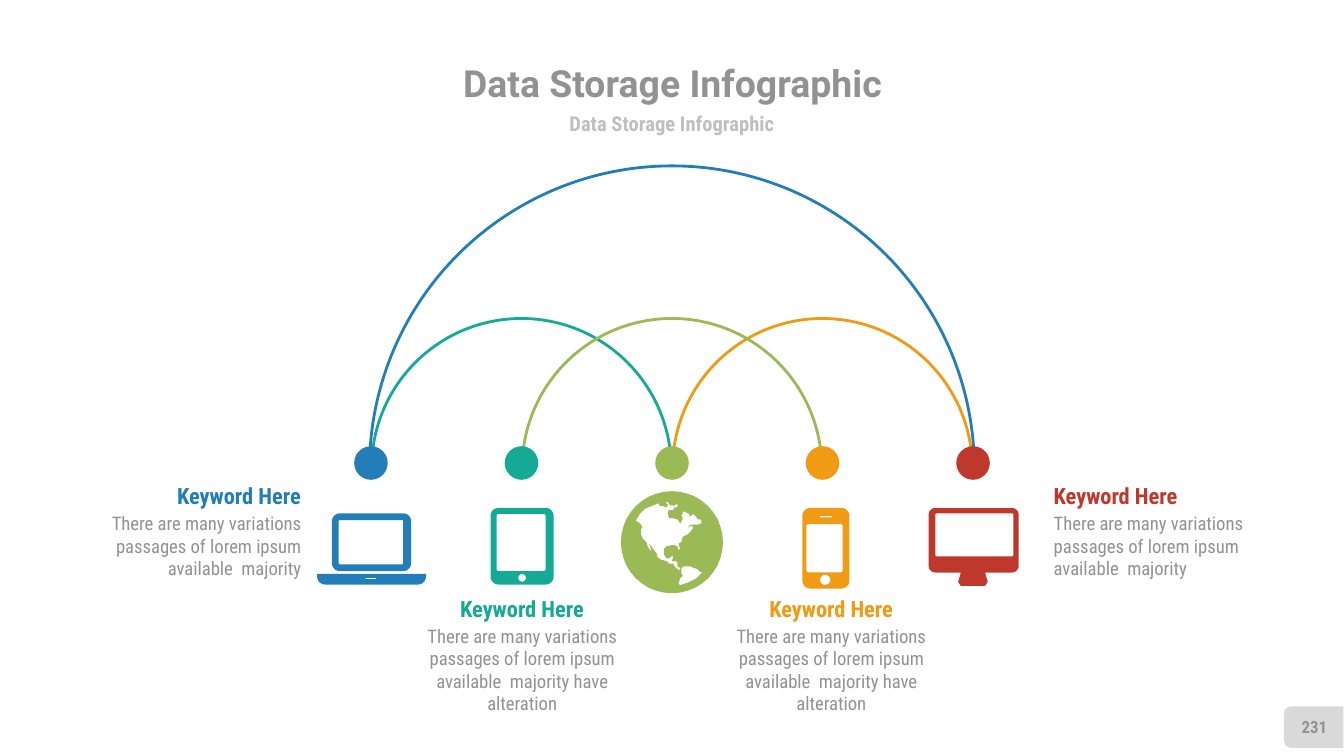
import dataclasses
import math

import pptx
import pptx.dml.color
import pptx.enum.shapes
import pptx.enum.text
import pptx.util

SHAPE = pptx.enum.shapes.MSO_SHAPE
ALIGN = pptx.enum.text.PP_ALIGN
ANCHOR = pptx.enum.text.MSO_ANCHOR


@dataclasses.dataclass(frozen=True)
class Theme:
    blue: str = "237DB9"
    teal: str = "15AA96"
    green: str = "9BB955"
    orange: str = "F19B14"
    red: str = "BE382C"
    grey: str = "929292"
    light_grey: str = "BFBFBF"
    tab: str = "D9D9D9"
    title_font: str = "Roboto"
    font: str = "Roboto Condensed"
    title_size: float = 20
    subtitle_size: float = 11
    keyword_size: float = 12
    body_size: float = 10
    number_size: float = 9
    line_width: float = 1.5


THEME = Theme()

# The slide is a grid of 100 columns by 56.25 rows; one cell is 0.1 inch.
COLUMNS, ROWS = 100, 56.25
CELL = 91440
FINE = 100  # outline points per cell
MIDDLE = COLUMNS / 2
NODE_GAP = 11.2
NODE_ROW, NODE_SIZE = 34.45, 2.5
ARC_ROW = 34.85
GLOBE_ROW, GLOBE_SIZE = 40.35, 7.6

# Land on the globe, in tenths of a cell from the globe's centre
NORTH_AMERICA = [
    (12, -11), (14, -13), (19, -13), (22, -14), (22, -16), (21, -17), (19, -17),
    (18, -19), (16, -21), (13, -19), (13, -21), (11, -22), (8, -23), (8, -21),
    (7, -20), (8, -18), (7, -15), (6, -14), (5, -16), (4, -17), (0, -18),
    (-2, -18), (-3, -21), (-3, -23), (-2, -24), (1, -24), (2, -26), (4, -26),
    (4, -29), (3, -28), (1, -27), (0, -28), (-1, -27), (-3, -30), (-5, -30),
    (-3, -28), (-4, -26), (-7, -27), (-9, -27), (-10, -29), (-15, -27),
    (-20, -25), (-24, -21), (-27, -16), (-25, -15), (-23, -13), (-22, -11),
    (-23, -10), (-23, -6), (-22, -3), (-19, 0), (-18, 3), (-17, 5), (-15, 7),
    (-16, 4), (-17, 1), (-14, 5), (-11, 9), (-11, 11), (-8, 13), (-4, 14),
    (-2, 16), (1, 16), (2, 18), (4, 20), (6, 21), (6, 19), (4, 18), (4, 15),
    (3, 14), (0, 14), (1, 11), (0, 10), (-2, 12), (-4, 12), (-6, 9), (-6, 5),
    (-4, 3), (1, 2), (4, 3), (5, 6), (6, 5), (5, 1), (7, 0), (8, -4), (10, -5),
    (12, -6), (14, -8), (16, -11), (15, -11), (16, -12), (14, -12),
]
SOUTH_AMERICA = [
    (23, 22), (21, 22), (19, 20), (16, 19), (14, 18), (12, 18), (9, 18), (7, 19),
    (7, 23), (8, 25), (6, 27), (5, 31), (6, 32), (12, 30), (18, 27),
]


def cells(count):
    return pptx.util.Emu(round(count * CELL))


def colour(value):
    return pptx.dml.color.RGBColor.from_string(value)


def add_text(page, left, top, width, height, words, size, ink,
             align=ALIGN.CENTER, bold=True, font=THEME.font, anchor=ANCHOR.TOP):
    box = page.shapes.add_textbox(*map(cells, (left, top, width, height)))
    frame = box.text_frame
    frame.word_wrap = True
    frame.vertical_anchor = anchor
    frame.margin_left = frame.margin_right = frame.margin_top = frame.margin_bottom = 0
    para = frame.paragraphs[0]
    para.alignment = align
    span = para.add_run()
    span.text = words
    span.font.name = font
    span.font.size = pptx.util.Pt(size)
    span.font.bold = bold
    span.font.color.rgb = colour(ink)


def paint(shape, fill):
    shape.shadow.inherit = False
    shape.fill.solid()
    shape.fill.fore_color.rgb = colour(fill)
    shape.line.fill.background()


def add_arc(page, centre, diameter, ink):
    """Draw the upper half of a circle that stands on the arc row."""
    arc = page.shapes.add_shape(
        SHAPE.ARC, cells(centre - diameter / 2), cells(ARC_ROW - diameter / 2),
        cells(diameter), cells(diameter))
    arc.adjustments[0] = 107.4  # 179 degrees
    arc.adjustments[1] = 0
    arc.shadow.inherit = False
    arc.fill.background()
    arc.line.color.rgb = colour(ink)
    arc.line.width = pptx.util.Pt(THEME.line_width)


def add_node(page, centre, fill):
    corner = cells(centre - NODE_SIZE / 2), cells(NODE_ROW - NODE_SIZE / 2)
    node = page.shapes.add_shape(SHAPE.OVAL, *corner, cells(NODE_SIZE), cells(NODE_SIZE))
    paint(node, fill)


def rounded(left, top, right, bottom, lower, upper=None):
    """Outline of a box, with the radii of its lower and upper corners."""
    upper = lower if upper is None else upper
    corners = [
        (right - lower, bottom - lower, lower), (left + lower, bottom - lower, lower),
        (left + upper, top + upper, upper), (right - upper, top + upper, upper),
    ]
    steps = 10
    return [
        (x + radius * math.cos(angle), y + radius * math.sin(angle))
        for quarter, (x, y, radius) in enumerate(corners)
        for angle in (math.pi / 2 * (quarter + step / steps) for step in range(steps + 1))
    ]


def disc(x, y, radius):
    return rounded(x - radius, y - radius, x + radius, y + radius, radius)


def add_icon(page, outlines, fill):
    """Draw one shape; an outline inside another one is a hole."""
    builder = None
    for outline in outlines:
        points = [(x * FINE, y * FINE) for x, y in outline]
        if builder is None:
            builder = page.shapes.build_freeform(*points[0], scale=CELL / FINE)
        else:
            builder.move_to(*points[0])
        builder.add_line_segments(points[1:], close=True)
    paint(builder.convert_to_shape(), fill)


def add_icons(page):
    laptop = [
        rounded(23.6, 42.7, 31.7, 43.5, 0.6, 0), rounded(24.7, 38.2, 30.6, 42.5, 0.6),
        rounded(25.2, 38.7, 30, 42, 0.1), rounded(27.2, 43, 28, 43.1, 0.05),
    ]
    monitor = [
        rounded(69.1, 37.8, 75.8, 42.6, 0.5), rounded(69.6, 38.2, 75.4, 41.4, 0.1),
        [(71.5, 42.6), (73.3, 42.6), (73.5, 43.3), (73.3, 43.6), (71.5, 43.6), (71.3, 43.3)],
    ]
    tablet = [
        rounded(36.5, 37.8, 41.2, 43.5, 0.6), rounded(36.95, 38.25, 40.6, 42.5, 0.15),
        disc(38.85, 43, 0.28),
    ]
    phone = [
        rounded(59.7, 37.8, 63.2, 43.8, 0.6), rounded(60, 39, 62.7, 42.6, 0.15),
        rounded(61, 38.4, 61.9, 38.5, 0.05), disc(61.4, 43.15, 0.38),
    ]
    globe = [disc(MIDDLE, GLOBE_ROW, GLOBE_SIZE / 2)] + [
        [(MIDDLE + x / 10, GLOBE_ROW + y / 10) for x, y in land]
        for land in (NORTH_AMERICA, SOUTH_AMERICA)
    ]
    for outlines, fill in [(laptop, THEME.blue), (monitor, THEME.red), (tablet, THEME.teal),
                           (phone, THEME.orange), (globe, THEME.green)]:
        add_icon(page, outlines, fill)


def add_label(page, edge, top, width, height, words, ink, align):
    """Place a keyword over its text; edge is the side or middle they align to."""
    share = {ALIGN.LEFT: 0, ALIGN.CENTER: 0.5, ALIGN.RIGHT: 1}[align]
    keyword_width = 11.3
    add_text(page, edge - share * width, top + 2.2, width, height, words,
             THEME.body_size, THEME.grey, align, bold=False)
    add_text(page, edge - share * keyword_width, top, keyword_width, 2, "Keyword Here",
             THEME.keyword_size, ink, align)


def add_page_number(page):
    tab = page.shapes.add_shape(SHAPE.ROUND_2_SAME_RECTANGLE,
                                *map(cells, (96.2, 51.9, 3.1, 4.4)))
    tab.rotation = 270
    paint(tab, THEME.tab)
    add_text(page, 95.7, 52.6, 4.2, 3, "231", THEME.number_size, THEME.grey,
             anchor=ANCHOR.MIDDLE)


def main():
    deck = pptx.Presentation()
    deck.slide_width, deck.slide_height = cells(COLUMNS), cells(ROWS)
    page = deck.slides.add_slide(deck.slide_layouts[6])

    add_page_number(page)
    heading = "Data Storage Infographic"
    add_text(page, 19.2, 4.2, 61.7, 3.9, heading, THEME.title_size, THEME.grey,
             font=THEME.title_font, anchor=ANCHOR.MIDDLE)
    add_text(page, 27.5, 8.1, 45, 2.2, heading, THEME.subtitle_size, THEME.light_grey,
             anchor=ANCHOR.MIDDLE)

    for step, diameter, ink in [(0, 45, THEME.blue), (1, 22.3, THEME.orange),
                                (-1, 22.3, THEME.teal), (0, 22.3, THEME.green)]:
        add_arc(page, MIDDLE + step * NODE_GAP, diameter, ink)
    add_icons(page)
    fills = (THEME.blue, THEME.teal, THEME.green, THEME.orange, THEME.red)
    for step, fill in enumerate(fills, start=-2):
        add_node(page, MIDDLE + step * NODE_GAP, fill)

    short = "There are many variations passages of lorem ipsum available  majority"
    long = short + " have alteration"
    add_label(page, 61.85, 44.3, 18.1, 6.7, long, THEME.orange, ALIGN.CENTER)
    add_label(page, 22.4, 35.9, 17.1, 5, short, THEME.blue, ALIGN.RIGHT)
    add_label(page, 78.4, 35.9, 17.1, 5, short, THEME.red, ALIGN.LEFT)
    add_label(page, 38.85, 44.3, 18.1, 6.7, long, THEME.teal, ALIGN.CENTER)
    deck.save("out.pptx")


if __name__ == "__main__":
    main()
